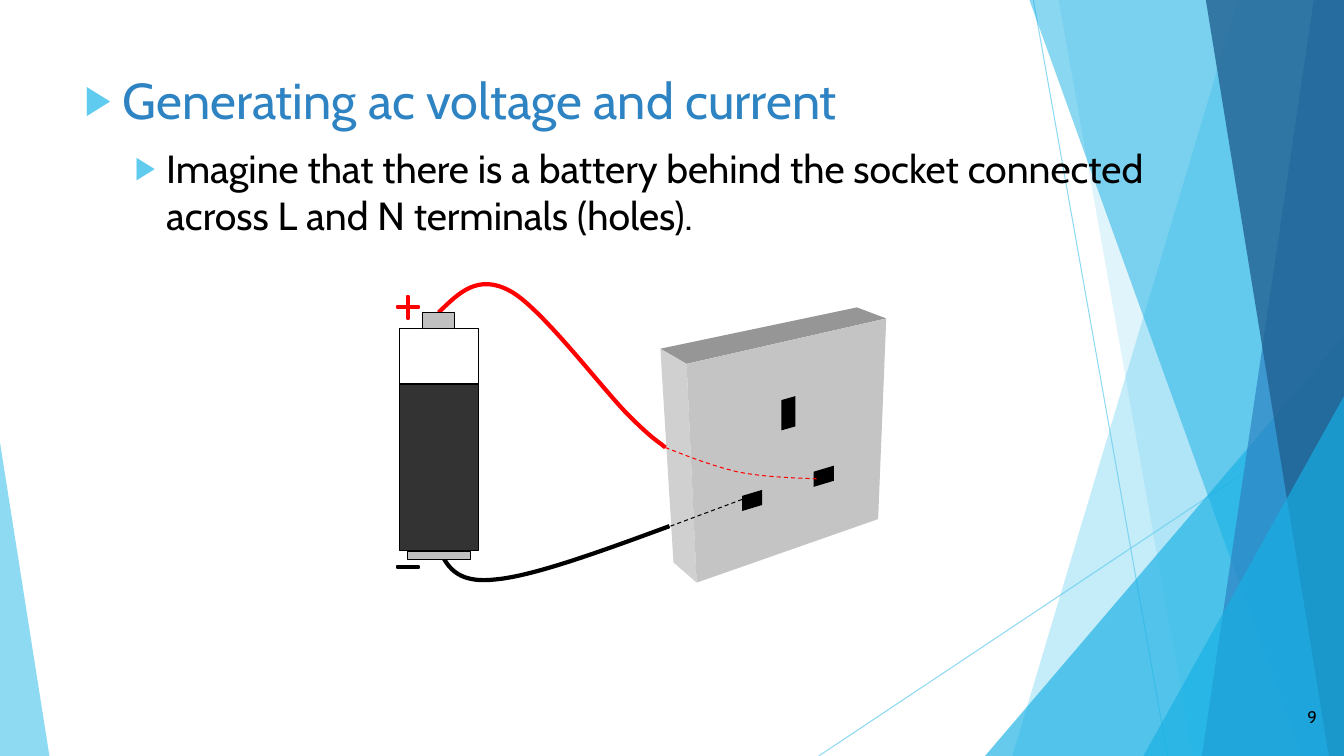
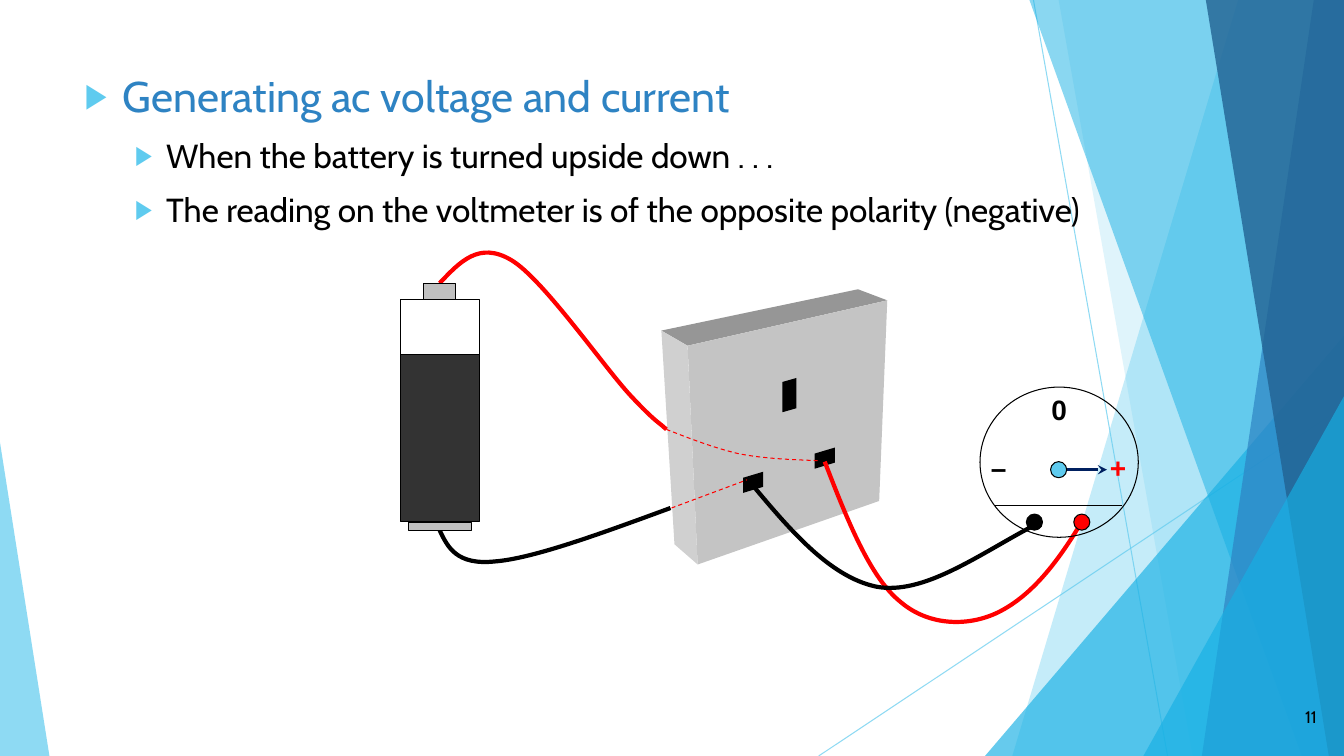
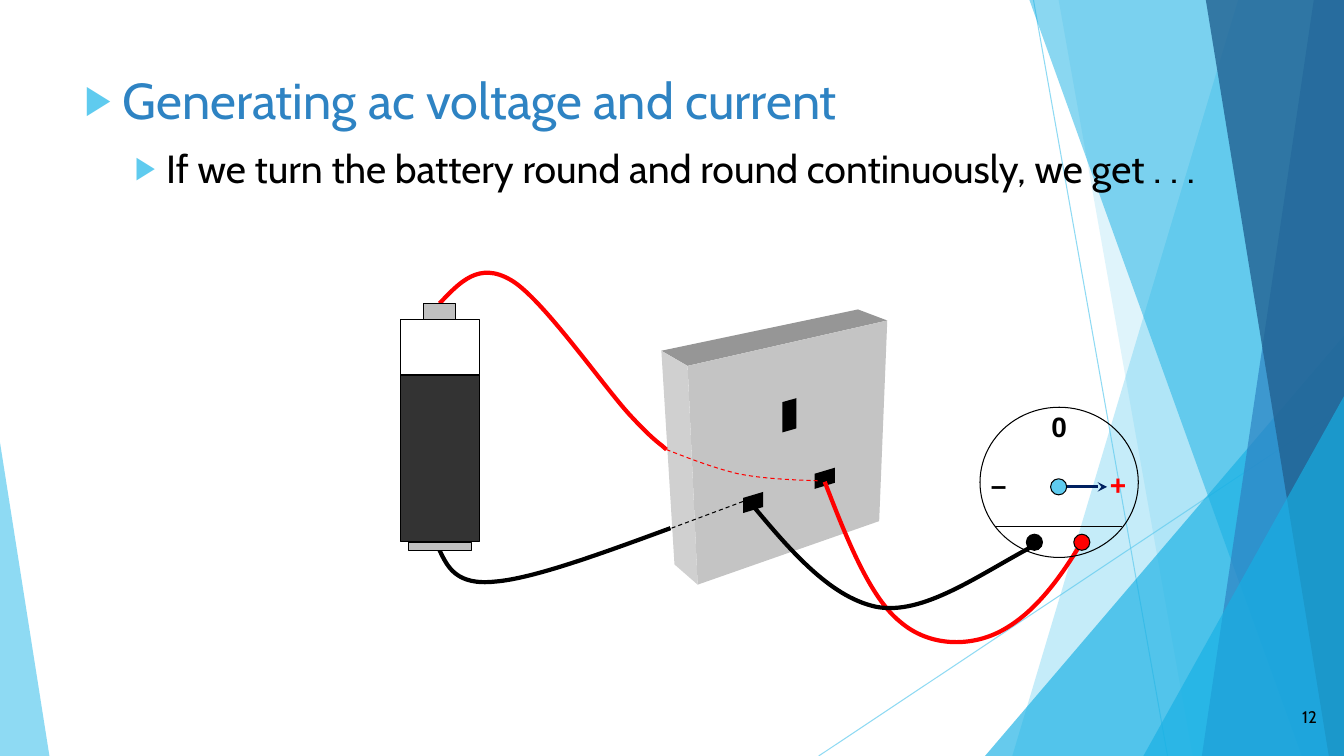
from dataclasses import dataclass
from lxml.etree import SubElement
from pptx import Presentation
from pptx.dml.color import RGBColor as RGB
from pptx.enum.dml import MSO_LINE as Dash, MSO_PATTERN as Pattern
from pptx.enum.shapes import MSO_CONNECTOR as Link, MSO_SHAPE as Kind
from pptx.enum.text import MSO_ANCHOR as Anchor, PP_ALIGN as Align
from pptx.oxml.ns import qn
from pptx.util import Inches, Pt


@dataclass(frozen=True)
class Theme:
    sky: str = "5FCBEF"
    cyan: str = "17B0E4"
    blue: str = "2E83C3"
    deep: str = "226292"
    navy: str = "002060"
    red: str = "FF0000"
    black: str = "000000"
    white: str = "FFFFFF"
    coal: str = "333333"
    metal: str = "C0C0C0"
    front: str = "C4C4C4"
    side: str = "D0D0D0"
    roof: str = "969696"
    font: str = "Cabin"
    mark: str = "Arial"
    head: float = 36
    body: float = 28
    dial: float = 20
    foot: float = 12
    thin: float = 0.75
    sign: float = 1.5
    needle: float = 2.25
    wire: float = 3


@dataclass(frozen=True)
class Page:
    number: str
    lines: tuple
    scale: float = 1      # share of the theme's type sizes
    dx: float = 0
    dy: float = 0
    lift: float = 0       # extra drop of the battery
    drop: float = 0       # extra drop of the dial's needle and marks
    meter: bool = True
    inner: str = "000000"  # hidden part of the neutral wire


T = Theme()
COLS, ROWS = 13.33, 7.5
CELL = Inches(1)
PAGES = [
    Page("9", ("Imagine that there is a battery behind the socket connected "
               "across L and N terminals (holes).",),
         dx=-0.01, dy=-0.02, lift=0.11, meter=False),
    Page("11", ("When the battery is turned upside down . . .",
                "The reading on the voltmeter is of the opposite polarity (negative)"),
         scale=0.85, dy=-0.2, drop=0.03, inner=T.red),
    Page("12", ("If we turn the battery round and round continuously, we get . . .",)),
]


def paint(shape, fill=None, line=None, width=T.thin, alpha=100, dash=False):
    """Set fill and outline, clear the shadow; alpha is a percentage."""
    if fill:
        shape.fill.solid()
        shape.fill.fore_color.rgb = RGB.from_string(fill)
    elif hasattr(shape, "fill"):
        shape.fill.background()
    if line:
        shape.line.color.rgb = RGB.from_string(line)
        shape.line.width = Pt(width)
        if dash:
            shape.line.dash_style = Dash.DASH
    else:
        shape.line.fill.background()
    props = shape.element.spPr
    if alpha < 100:
        for color in props.iter(qn("a:srgbClr")):
            SubElement(color, qn("a:alpha")).set("val", str(alpha * 1000))
    SubElement(props, qn("a:effectLst"))


def trace(slide, dots, bend=False):
    """Closed polygon, or with bend an open chain of Bezier curves."""
    first, *rest = [(x * CELL, y * CELL) for x, y in dots]
    pen = slide.shapes.build_freeform(*first)
    pen.add_line_segments(rest, close=not bend)
    shape = pen.convert_to_shape()
    if bend:
        track = shape.element.find(".//" + qn("a:path"))
        steps = track.findall(qn("a:lnTo"))
        for i in range(0, len(steps), 3):
            arc = SubElement(track, qn("a:cubicBezTo"))
            for step in steps[i:i + 3]:
                arc.append(step[0])
                track.remove(step)
    return shape


deck = Presentation()
deck.slide_width, deck.slide_height = round(COLS * CELL), round(ROWS * CELL)
blank = deck.slide_layouts[6]
for holder in list(blank.placeholders):
    blank.shapes.element.remove(holder.element)
slides = [deck.slides.add_slide(blank) for page in PAGES]

# Shared backdrop: drawn once, then moved to the layout
base = slides[0]
for ends in [(10.25, 0, 11.58, ROWS), (COLS, 4.03, 8.12, ROWS)]:
    ray = base.shapes.add_connector(Link.STRAIGHT, *[round(n * CELL) for n in ends])
    paint(ray, line=T.sky, alpha=70)
for form, top, foot, color, alpha in [
        ("band", 12.28, 10.04, T.sky, 36),
        ("band", 10.5, 11.83, T.sky, 20),
        ("peak", 9.77, 3.33, T.cyan, 66),
        ("band", 10.21, 12.91, T.cyan, 50),
        ("band", 13.03, 11.92, T.blue, 70),
        ("band", 11.96, 13.18, T.deep, 80),
        ("peak", 11.34, 3.93, T.cyan, 66)]:
    if form == "band":
        shape = trace(base, [(top, 0), (COLS, 0), (COLS, ROWS), (foot, ROWS)])
    else:
        box = (top, foot, COLS - top, ROWS - foot)
        shape = base.shapes.add_shape(Kind.ISOSCELES_TRIANGLE,
                                      *[round(n * CELL) for n in box])
        shape.adjustments[0] = 1
    paint(shape, color, alpha=alpha)
box = (0, 4.39, 0.49, ROWS - 4.39)
edge = base.shapes.add_shape(Kind.ISOSCELES_TRIANGLE, *[round(n * CELL) for n in box])
edge.adjustments[0] = 0
paint(edge, T.sky, alpha=70)
for shape in list(base.shapes):
    blank.shapes.element.append(shape.element)

# Socket: faces and holes as corner points
FACES = [
    ([(6.56, 3.48), (8.51, 3.07), (8.8, 3.18), (6.82, 3.63)], T.roof),
    ([(6.56, 3.48), (6.82, 3.63), (6.92, 5.8), (6.69, 5.6)], T.side),
    ([(6.82, 3.63), (8.8, 3.18), (8.72, 5.17), (6.92, 5.8)], T.front),
]
HOLES = [(7.76, 3.99, 0.14, 0.3, 0.04), (7.37, 4.94, 0.2, 0.15, 0.06),
         (8.08, 4.7, 0.2, 0.15, 0.06)]
for x, y, w, h, rise in HOLES:
    FACES.append(([(x, y), (x + w, y - rise), (x + w, y - rise + h), (x, y + h)],
                  T.black))

# Wires as Bezier points
LIVE = [(4.36, 3.01), (4.56, 2.8), (4.75, 2.59), (5.07, 2.78), (5.38, 2.96),
        (5.99, 3.84), (6.25, 4.12), (6.51, 4.4), (6.55, 4.4), (6.61, 4.46)]
BACK = [(4.36, 5.46), (4.44, 5.63), (4.53, 5.81), (4.91, 5.77), (5.29, 5.74),
        (5.97, 5.49), (6.65, 5.24)]
INNER = [(6.61, 4.46), (6.84, 4.55), (7.07, 4.64), (7.32, 4.7), (7.57, 4.75),
         (7.84, 4.76), (8.11, 4.77)]
PROBES = [
    ([(8.18, 4.78), (8.4, 5.35), (8.63, 5.93), (8.93, 6.17), (9.22, 6.42),
      (9.63, 6.42), (9.93, 6.26), (10.23, 6.1), (10.48, 5.8), (10.74, 5.36)], T.red),
    ([(7.42, 4.96), (7.82, 5.44), (8.22, 5.92), (8.69, 6.02), (9.16, 6.11),
      (9.71, 5.7), (10.26, 5.41)], T.black),
]
CELLS = [(3.97, 3.17, 0.79, 0.55, T.white), (4.2, 3.01, 0.32, 0.16, T.metal),
         (4.05, 5.38, 0.63, 0.08, T.metal), (3.97, 3.72, 0.79, 1.65, T.coal)]

for slide, page in zip(slides, PAGES):
    dx, dy = page.dx, page.dy

    # Heading and bullets
    box = (0.74, 0.64, 11.31, 1.85)
    frame = slide.shapes.add_textbox(*[round(n * CELL) for n in box]).text_frame
    frame.word_wrap = True
    frame.text = "\n".join(("Generating ac voltage and current",) + page.lines)
    for i, para in enumerate(frame.paragraphs):
        left, hang, size, color = ((0.81, 0.31, T.body, T.black) if i else
                                   (0.38, 0.38, T.head, T.blue))
        props = para._p.get_or_add_pPr()
        props.set("marL", str(round(left * CELL)))
        props.set("indent", str(round(-hang * CELL)))
        if i:
            props.set("lvl", "1")
            para.space_before = Pt(10)
        tint = SubElement(props, qn("a:buClr"))
        SubElement(tint, qn("a:srgbClr")).set("val", T.sky)
        SubElement(props, qn("a:buSzPct")).set("val", "80000")
        SubElement(props, qn("a:buFont")).set("typeface", T.mark)
        SubElement(props, qn("a:buChar")).set("char", "▶")
        font = para.runs[0].font
        font.name, font.size = T.font, Pt(size * page.scale)
        font.color.rgb = RGB.from_string(color)

    # Socket and the wires from the battery
    for dots, color in FACES:
        paint(trace(slide, [(x + dx, y + dy) for x, y in dots]), color)
    end = LIVE[-1][1]
    reach = 1 - page.lift / (end - LIVE[0][1])
    live = [(x, end + (y - end) * reach) for x, y in LIVE]
    for dots, color, width in [(live, T.red, T.wire), (BACK, T.black, T.wire),
                               (INNER, T.red, T.thin)]:
        wire = trace(slide, [(x + dx, y + dy) for x, y in dots], bend=True)
        paint(wire, line=color, width=width, dash=width == T.thin)
    ends = (6.66 + dx, 5.24 + dy, 7.41 + dx, 4.96 + dy)
    wire = slide.shapes.add_connector(Link.STRAIGHT, *[round(n * CELL) for n in ends])
    paint(wire, line=page.inner, dash=True)

    # Battery
    for x, y, w, h, color in CELLS:
        box = (x + dx, y + dy + page.lift, w, h)
        part = slide.shapes.add_shape(Kind.RECTANGLE, *[round(n * CELL) for n in box])
        paint(part, color, T.black)
        if color == T.coal:
            part.fill.patterned()
            part.fill.pattern = Pattern.DARK_VERTICAL
            part.fill.fore_color.rgb = RGB.from_string(T.coal)
            part.fill.back_color.rgb = RGB.from_string(T.white)

    labels = [(12.41, 6.91, 0.75, 0.4, page.number, T.font, T.foot, T.black,
               Align.RIGHT, Anchor.MIDDLE)]
    if page.meter:
        for dots, color in PROBES:
            wire = trace(slide, [(x, y + dy) for x, y in dots], bend=True)
            paint(wire, line=color, width=T.wire)
        low = dy + page.drop
        for x, y, x2, y2, color, width in [
                (9.87, 5.22 + dy, 11.13, 5.22 + dy, T.black, T.thin),
                (10.48, 4.83 + low, 10.98, 4.83 + low, T.navy, T.needle)]:
            bar = slide.shapes.add_connector(
                Link.STRAIGHT, *[round(n * CELL) for n in (x, y, x2, y2)])
            paint(bar, line=color, width=width)
        SubElement(bar.line._get_or_add_ln(), qn("a:tailEnd")).set("type", "stealth")
        for x, y, w, h, color in [(9.72, 4.04 + dy, 1.57, 1.49, None),
                                  (10.18, 5.3 + dy, 0.16, 0.16, T.black),
                                  (10.65, 5.3 + dy, 0.16, 0.16, T.red),
                                  (10.42, 4.75 + low, 0.16, 0.16, T.sky)]:
            disc = slide.shapes.add_shape(
                Kind.OVAL, *[round(n * CELL) for n in (x, y, w, h)])
            paint(disc, color, T.black)
        for x, y, text, color, align in [(10.27, 4.01, "0", T.black, Align.CENTER),
                                         (9.73, 4.59, "–", T.black, Align.LEFT),
                                         (10.8, 4.59, "+", T.red, Align.RIGHT)]:
            labels.append((x, y + low, 0.47, 0.43, text, T.mark, T.dial, color,
                           align, Anchor.TOP))
    else:
        for kind, y, h, color in [(Kind.MATH_PLUS, 2.9, 0.3, T.red),
                                  (Kind.MATH_MINUS, 5.58, 0.09, T.black)]:
            sign = slide.shapes.add_shape(
                kind, *[round(n * CELL) for n in (3.9, y, 0.3, h)])
            if kind == Kind.MATH_PLUS:
                sign.adjustments[0] = 0.067
            paint(sign, color, color, T.sign)

    # Dial marks and slide number
    for *box, text, face, size, color, align, anchor in labels:
        frame = slide.shapes.add_textbox(*[round(n * CELL) for n in box]).text_frame
        frame.word_wrap = True
        frame.vertical_anchor = anchor
        frame.text = text
        para = frame.paragraphs[0]
        para.alignment = align
        font = para.runs[0].font
        font.name, font.size, font.bold = face, Pt(size), face == T.mark
        font.color.rgb = RGB.from_string(color)

deck.save("out.pptx")
